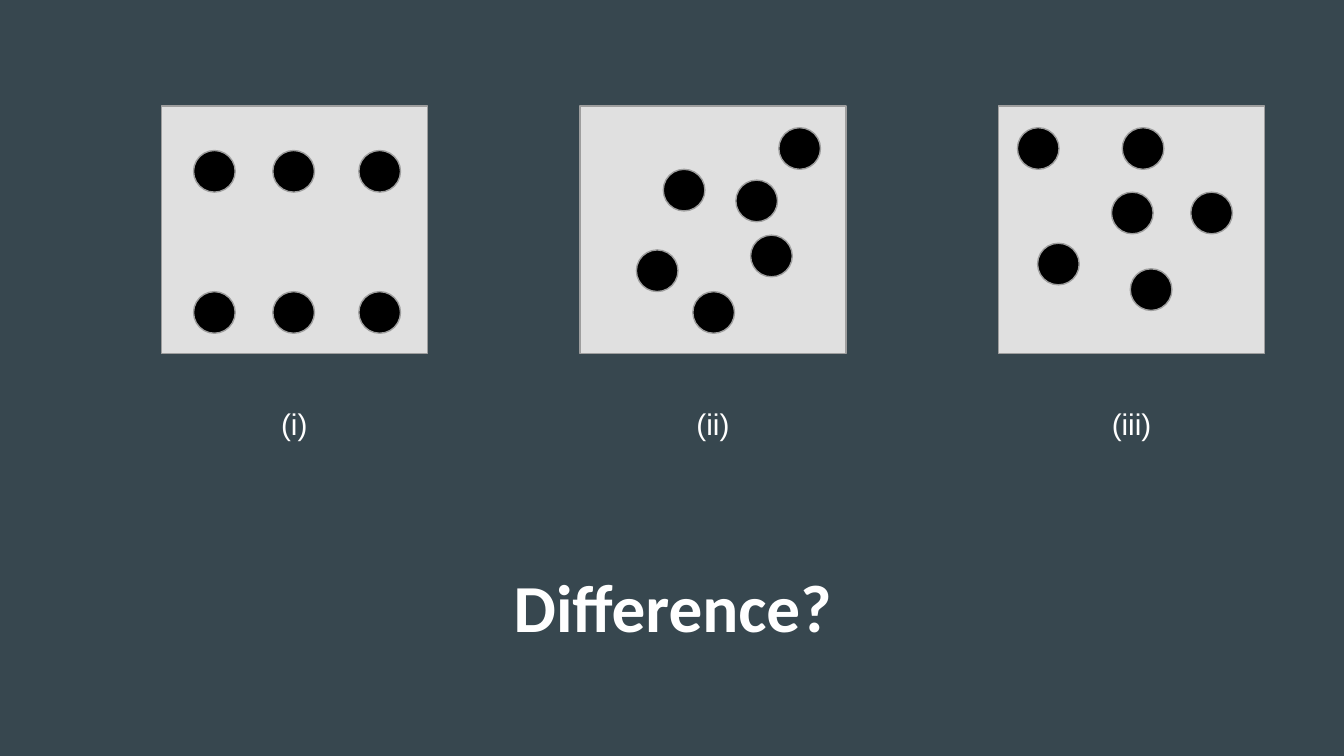
import itertools

import pptx
import pptx.dml.color
import pptx.enum.shapes
import pptx.enum.text
import pptx.util

Inches = pptx.util.Inches
Pt = pptx.util.Pt
RGBColor = pptx.dml.color.RGBColor
SHAPE = pptx.enum.shapes.MSO_SHAPE
ANCHOR = pptx.enum.text.MSO_ANCHOR

TITLE = "Difference?"
PANELS = [
    ("(i)", list(itertools.product((0.24, 0.83, 1.47), (0.33, 1.38)))),
    ("(ii)", [(1.48, 0.16), (0.62, 0.47), (1.16, 0.55),
              (0.42, 1.07), (0.84, 1.38), (1.27, 0.96)]),
    ("(iii)", [(0.14, 0.16), (0.84, 0.64), (0.92, 0.16),
               (0.29, 1.02), (0.98, 1.21), (1.43, 0.64)]),
]

THEME = {
    "background": RGBColor.from_string("37474F"),
    "panel": RGBColor.from_string("E0E0E0"),
    "dot": RGBColor.from_string("000000"),
    "outline": RGBColor.from_string("9E9E9E"),
    "text": RGBColor.from_string("FFFFFF"),
    "outline_width": Pt(0.75),
    "title": ("Calibri", Pt(36), True),
    "label": ("Arial", Pt(16), False),
}

SLIDE_WIDTH = 10
SLIDE_HEIGHT = SLIDE_WIDTH * 9 / 16
FIRST_LEFT, LAST_LEFT, PANEL_TOP = 1.2, 7.43, 0.79
PANEL_WIDTH, PANEL_HEIGHT = 1.98, 1.84
PITCH = (LAST_LEFT - FIRST_LEFT) / (len(PANELS) - 1)
DOT_SIZE = 0.31
LABEL_TOP, LABEL_WIDTH, LABEL_HEIGHT = 2.92, 1.67, 0.41


def add_figure(slide, kind, box, fill):
    shape = slide.shapes.add_shape(kind, *map(Inches, box))
    shape.shadow.inherit = False
    shape.fill.solid()
    shape.fill.fore_color.rgb = fill
    shape.line.color.rgb = THEME["outline"]
    shape.line.width = THEME["outline_width"]


def add_text(slide, text, box, style, anchor):
    frame = slide.shapes.add_textbox(*map(Inches, box)).text_frame
    frame.word_wrap = True
    frame.vertical_anchor = anchor
    frame.margin_left = frame.margin_right = Inches(0.1)
    frame.margin_top = frame.margin_bottom = Inches(0.1)
    paragraph = frame.paragraphs[0]
    paragraph.text = text
    paragraph.alignment = pptx.enum.text.PP_ALIGN.CENTER
    font = paragraph.font
    font.name, font.size, font.bold = THEME[style]
    font.color.rgb = THEME["text"]


def add_panel(slide, left, label, dots):
    add_figure(slide, SHAPE.RECTANGLE,
               (left, PANEL_TOP, PANEL_WIDTH, PANEL_HEIGHT), THEME["panel"])
    for x, y in dots:
        add_figure(slide, SHAPE.OVAL,
                   (left + x, PANEL_TOP + y, DOT_SIZE, DOT_SIZE), THEME["dot"])
    label_left = left + (PANEL_WIDTH - LABEL_WIDTH) / 2
    add_text(slide, label, (label_left, LABEL_TOP, LABEL_WIDTH, LABEL_HEIGHT),
             "label", ANCHOR.TOP)


def main():
    presentation = pptx.Presentation()
    presentation.slide_width = Inches(SLIDE_WIDTH)
    presentation.slide_height = Inches(SLIDE_HEIGHT)
    slide = presentation.slides.add_slide(presentation.slide_layouts[6])
    slide.background.fill.solid()
    slide.background.fill.fore_color.rgb = THEME["background"]

    add_text(slide, TITLE, (0.71, 4.04, 8.59, 0.94), "title", ANCHOR.MIDDLE)
    for index, (label, dots) in enumerate(PANELS):
        add_panel(slide, FIRST_LEFT + index * PITCH, label, dots)
    presentation.save("out.pptx")


if __name__ == "__main__":
    main()
